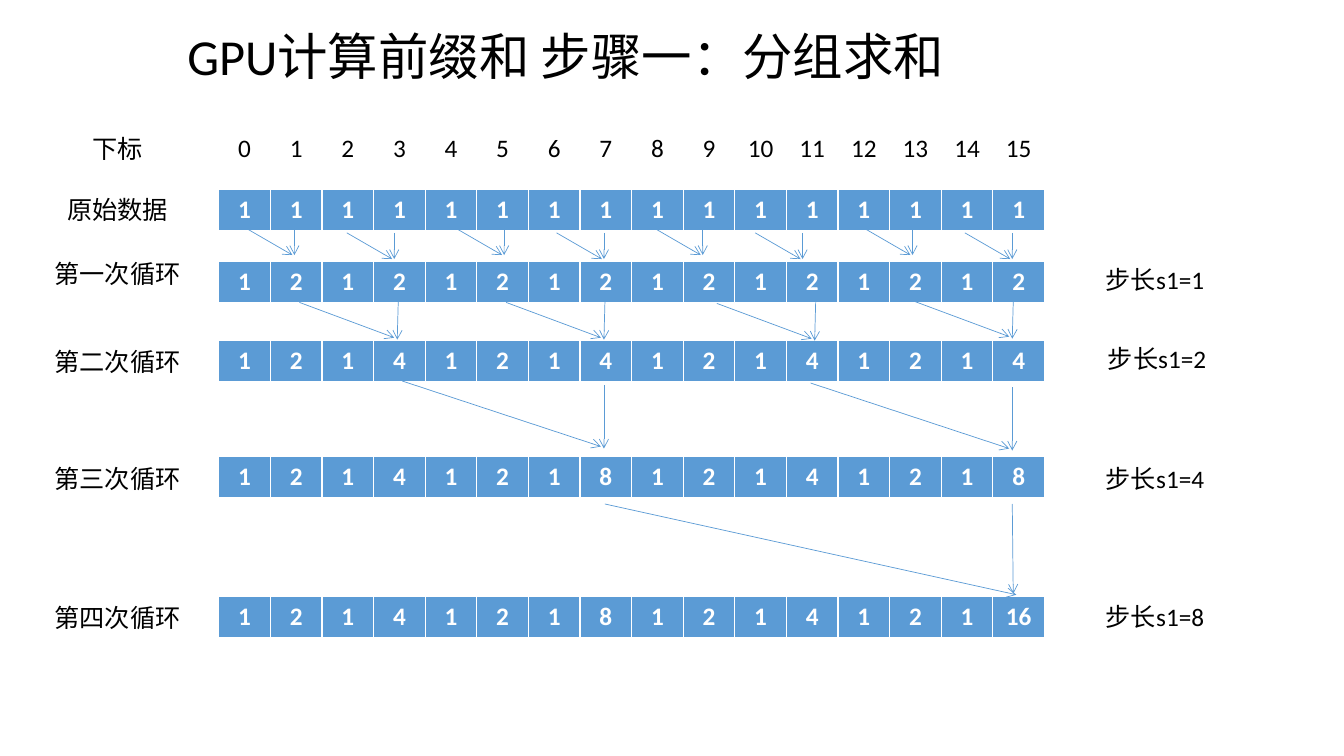
from dataclasses import dataclass
from lxml.etree import SubElement
from pptx import Presentation
from pptx.dml.color import RGBColor
from pptx.enum.shapes import MSO_CONNECTOR
from pptx.enum.text import MSO_AUTO_SIZE, PP_ALIGN
from pptx.oxml.ns import qn
from pptx.util import Inches, Pt


@dataclass(frozen=True)
class Theme:
    """Colours and type sizes of the slide."""
    font: str = "Calibri"
    blue: str = "5B9BD5"
    white: str = "FFFFFF"
    black: str = "000000"
    body: int = 18
    title: int = 36
    arrow: float = 0.5


theme = Theme()
COUNT = 16
TABLE_X, TABLE_W, ROW_H = 2.17, 8.19, 0.42
LABEL_X, LABEL_W, LABEL_H = 0.39, 1.55, 0.4
BORDERS = {"a:lnL": 1, "a:lnR": 1, "a:lnT": 1, "a:lnB": 3}

prs = Presentation()
prs.slide_width, prs.slide_height = Inches(13.33), Inches(7.5)
s = prs.slides.add_slide(prs.slide_layouts[6])


def add_text(text, x, y, w=LABEL_W, h=LABEL_H, size=theme.body, align=PP_ALIGN.CENTER):
    """Add a one-line text box."""
    tf = s.shapes.add_textbox(Inches(x), Inches(y), Inches(w), Inches(h)).text_frame
    tf.text = text
    tf.word_wrap = True
    tf.auto_size = MSO_AUTO_SIZE.SHAPE_TO_FIT_TEXT
    p = tf.paragraphs[0]
    p.alignment = align
    font = p.runs[0].font
    font.name, font.size = theme.font, Pt(size)
    font.color.rgb = RGBColor.from_string(theme.black)


def add_row(values, y, filled=True):
    """Add a one-row table, either blue with white borders or plain."""
    table = s.shapes.add_table(1, COUNT, Inches(TABLE_X), Inches(y),
                               Inches(TABLE_W), Inches(ROW_H)).table
    table.first_row = filled
    table.horz_banding = False
    for cell, value in zip(table.iter_cells(), values):
        cell.text = str(value)
        p = cell.text_frame.paragraphs[0]
        p.alignment = PP_ALIGN.CENTER
        font = p.runs[0].font
        font.name, font.size, font.bold = theme.font, Pt(theme.body), filled
        font.color.rgb = RGBColor.from_string(theme.white if filled else theme.black)
        tc_pr = cell._tc.get_or_add_tcPr()
        for tag, width in BORDERS.items():
            ln = SubElement(tc_pr, qn(tag), w=str(Pt(width)))
            if filled:
                color = SubElement(SubElement(ln, qn("a:solidFill")), qn("a:srgbClr"))
                color.set("val", theme.white)
            else:
                SubElement(ln, qn("a:noFill"))
        if filled:
            cell.fill.solid()
            cell.fill.fore_color.rgb = RGBColor.from_string(theme.blue)
        else:
            cell.fill.background()


add_row([1] * COUNT, 1.88)
add_row(range(COUNT), 1.27, filled=False)
add_text("下标", LABEL_X, 1.27)
add_text("原始数据", LABEL_X, 1.88)

# Each loop: name, label y, table y, step label x and y,
# targets (x, y) where each vertical arrow starts,
# then the two arrows as offsets (x1, y1, x2, y2) from a target.
loops = [
    ("第一次循环", 2.51, 2.59, 10.68, 2.57,
     [(2.92, 2.27), (3.91, 2.31), (5, 2.27), (5.99, 2.31),
      (6.97, 2.27), (7.96, 2.31), (9.05, 2.27), (10.04, 2.31)],
     [(-0.47, 0, -0.02, 0.26), (0, 0, 0, 0.26)]),
    ("第二次循环", 3.39, 3.38, 10.7, 3.36,
     [(3.95, 2.99), (6, 2.99), (8.09, 3), (10.05, 2.98)],
     [(-0.98, 0.01, -0.04, 0.36), (0, 0, -0.01, 0.38)]),
    ("第三次循环", 4.55, 4.53, 10.68, 4.55,
     [(5.99, 3.82), (10.04, 3.84)],
     [(-2, -0.04, -0.03, 0.61), (0, 0, 0, 0.63)]),
    ("第四次循环", 5.93, 5.92, 10.68, 5.92,
     [(10.04, 5)],
     [(-4.04, 0, 0.04, 0.9), (0, 0, 0.01, 0.89)]),
]

for number, (name, label_y, row_y, step_x, step_y, targets, arrows) in enumerate(loops):
    step = 2 ** number
    # A cell holds the largest power of two dividing its position, up to 2 * step.
    sums = [min(n & -n, 2 * step) for n in range(1, COUNT + 1)]
    add_text(name, LABEL_X, label_y)
    add_row(sums, row_y)
    for x, y in targets:
        for x1, y1, x2, y2 in arrows:
            line = s.shapes.add_connector(MSO_CONNECTOR.STRAIGHT, Inches(x + x1), Inches(y + y1),
                                          Inches(x + x2), Inches(y + y2))
            line.line.color.rgb = RGBColor.from_string(theme.blue)
            line.line.width = Pt(theme.arrow)
            SubElement(line.line._get_or_add_ln(), qn("a:tailEnd"), type="arrow")
            SubElement(line._element.spPr, qn("a:effectLst"))
    add_text(f"步长s1={step}", step_x, step_y)

add_text("GPU计算前缀和 步骤一：分组求和", 1.76, 0.2, 8.59, 0.71, theme.title, PP_ALIGN.LEFT)

prs.save("out.pptx")
